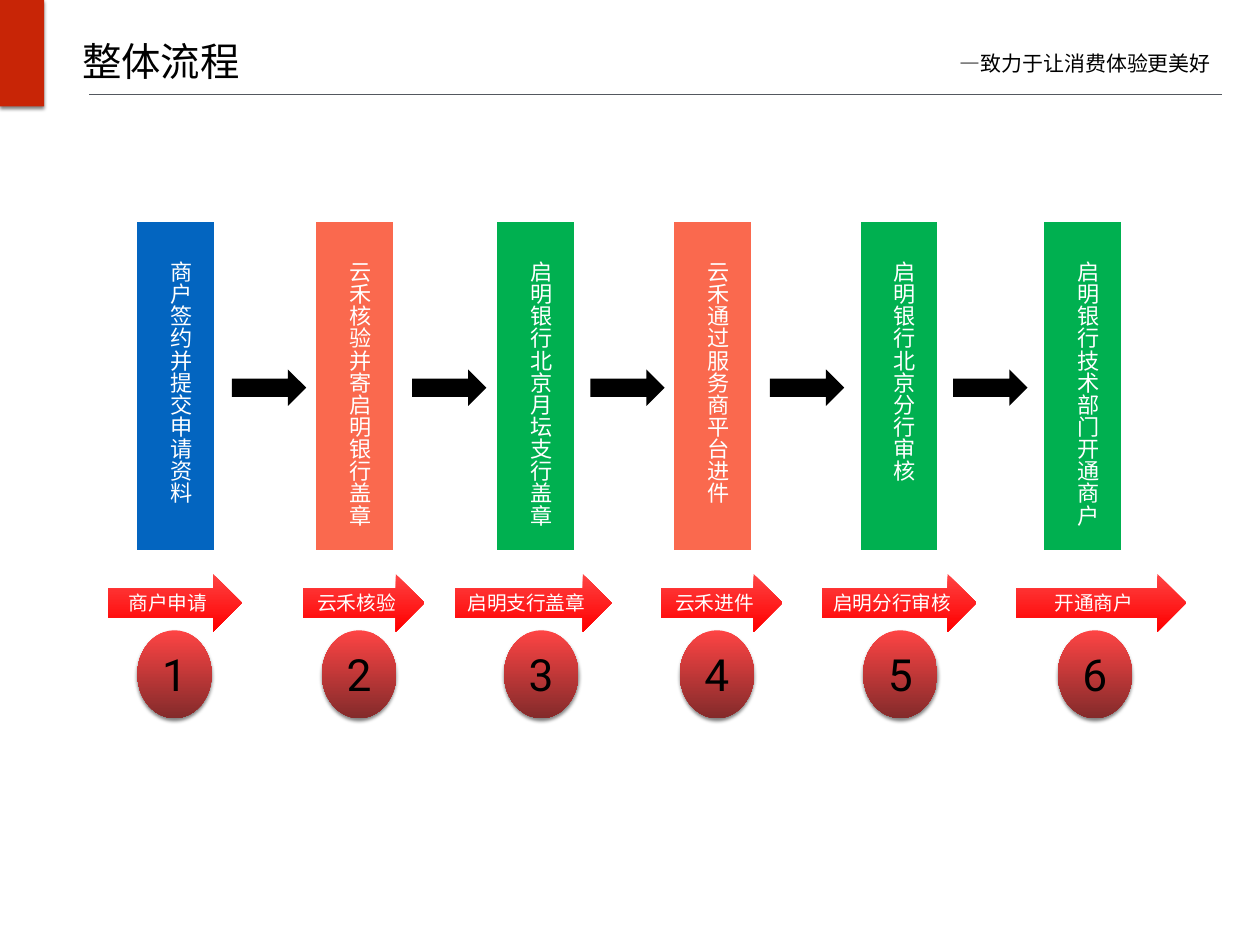
"""Build the slide showing the six-step merchant onboarding process."""
from lxml.etree import SubElement
from pptx import Presentation
from pptx.dml.color import RGBColor
from pptx.enum.shapes import MSO_CONNECTOR, MSO_SHAPE
from pptx.enum.text import MSO_ANCHOR, PP_ALIGN
from pptx.oxml.ns import qn
from pptx.util import Inches, Pt

BLACK = RGBColor(0x00, 0x00, 0x00)
WHITE = RGBColor(0xFF, 0xFF, 0xFF)
GRAY = RGBColor(0x53, 0x58, 0x5F)
CORNER_RED = RGBColor(0xC8, 0x25, 0x06)
LIGHT_RED = RGBColor(0xFE, 0x44, 0x44)
BRIGHT_RED = RGBColor(0xFF, 0x00, 0x00)
DARK_RED = RGBColor(0x83, 0x2B, 0x2B)
BLUE = RGBColor(0x03, 0x65, 0xC0)
ORANGE = RGBColor(0xFA, 0x69, 0x4E)
GREEN = RGBColor(0x00, 0xB0, 0x50)

TITLE = "整体流程"
SLOGAN = "—致力于让消费体验更美好"

# (task, bar colour, bar column, label, label column, label columns, badge column)
STEPS = [
    ("商户签约并提交申请资料", BLUE, 10.9, "商户申请", 8.6, 10.6, 10.9),
    ("云禾核验并寄启明银行盖章", ORANGE, 25.1, "云禾核验", 24.05, 9.65, 25.55),
    ("启明银行北京月坛支行盖章", GREEN, 39.45, "启明支行盖章", 36.15, 12.4, 40),
    ("云禾通过服务商平台进件", ORANGE, 53.5, "云禾进件", 52.45, 9.65, 53.95),
    ("启明银行北京分行审核", GREEN, 68.3, "启明分行审核", 65.25, 12.25, 68.5),
    ("启明银行技术部门开通商户", GREEN, 82.85, "开通商户", 80.65, 13.5, 83.95),
]
ARROW_COLUMNS = [18.4, 32.7, 46.85, 61.1, 75.65]

presentation = Presentation()
presentation.slide_width = Inches(14.22)
presentation.slide_height = Inches(10.67)
slide = presentation.slides.add_slide(presentation.slide_layouts[6])
COLUMN = presentation.slide_width / 100
ROW = presentation.slide_height / 100


def place(left, top, width, height):
    """Turn grid columns and rows into slide lengths."""
    return round(left * COLUMN), round(top * ROW), round(width * COLUMN), round(height * ROW)


def add_filled(parent, kind, box, fill, end=None, end_position=1.0):
    """Add a borderless shape, solid or with a downward gradient."""
    shape = parent.add_shape(kind, *place(*box))
    shape.shadow.inherit = False
    shape.line.fill.background()
    if end is None:
        shape.fill.solid()
        shape.fill.fore_color.rgb = fill
        return shape
    shape.fill.gradient()
    shape.fill.gradient_angle = 270
    stops = zip(shape.fill.gradient_stops, (fill, end), (0, end_position))
    for stop, color, position in stops:
        stop.color.rgb = color
        stop.position = position
    return shape


def add_shadow(shape):
    """Give a shape a soft shadow below it."""
    effects = shape.element.spPr.find(qn("a:effectLst"))
    shadow = SubElement(effects, qn("a:outerShdw"), blurRad=str(Pt(3)),
                        dist=str(Pt(2)), dir="5400000", rotWithShape="0")
    color = SubElement(shadow, qn("a:srgbClr"), val="000000")
    SubElement(color, qn("a:alpha"), val="50000")


def write(shape, text, size, color, font="Roboto", align=PP_ALIGN.CENTER,
          anchor=MSO_ANCHOR.MIDDLE, margin=None, wrap=False):
    """Set and format the text of a shape."""
    frame = shape.text_frame
    frame.text = text
    frame.word_wrap = wrap
    frame.vertical_anchor = anchor
    if margin is not None:
        frame.margin_left = frame.margin_right = margin
        frame.margin_top = frame.margin_bottom = margin
    paragraph = frame.paragraphs[0]
    paragraph.alignment = align
    run = paragraph.runs[0]
    run.font.size = Pt(size)
    run.font.name = font
    run.font.color.rgb = color


def add_header():
    """Add the corner block, title, slogan and rule."""
    title = slide.shapes.add_textbox(*place(6.1, 3.45, 19.35, 6))
    write(title, TITLE, 32, BLACK, align=PP_ALIGN.LEFT, margin=Inches(0.06), wrap=True)
    corner = add_filled(slide.shapes, MSO_SHAPE.RECTANGLE, (0, 0, 3.5, 11.25), CORNER_RED)
    add_shadow(corner)
    slogan = slide.shapes.add_textbox(*place(75.5, 4.6, 21.25, 4.1))
    write(slogan, SLOGAN, 17, BLACK, margin=Inches(0.06))
    left, top, width, _ = place(7.1, 9.95, 89.9, 0)
    rule = slide.shapes.add_connector(MSO_CONNECTOR.STRAIGHT, left, top, left + width, top)
    rule.line.color.rgb = GRAY
    rule.line.width = Pt(0.5)
    SubElement(rule.element.spPr, qn("a:effectLst"))


def add_step(number, task, color, bar_left, label, label_left, label_width, badge_left):
    """Add one step: task bar, label arrow and numbered badge."""
    group = slide.shapes.add_group_shape().shapes
    add_filled(group, MSO_SHAPE.FLOWCHART_PROCESS, (bar_left, 23.5, 6.1, 34.75), color)
    task_box = group.add_textbox(*place(bar_left + 1.25, 26.7, 3.6, 30.45))
    write(task_box, task, 18, WHITE, align=PP_ALIGN.LEFT, anchor=MSO_ANCHOR.TOP, wrap=True)
    task_box.element.txBody.bodyPr.set("vert", "eaVert")
    tag = add_filled(slide.shapes, MSO_SHAPE.RIGHT_ARROW,
                     (label_left, 60.75, label_width, 6.1), LIGHT_RED, BRIGHT_RED, 0.97)
    write(tag, label, 16, WHITE, "Arial")
    badge = add_filled(slide.shapes, MSO_SHAPE.OVAL,
                       (badge_left, 66.7, 5.9, 9.3), LIGHT_RED, DARK_RED)
    add_shadow(badge)
    write(badge, str(number), 36, BLACK, margin=Inches(0.06))


add_header()
for step_number, step in enumerate(STEPS, 1):
    add_step(step_number, *step)
for arrow_left in ARROW_COLUMNS:
    add_filled(slide.shapes, MSO_SHAPE.RIGHT_ARROW, (arrow_left, 39.1, 5.9, 3.85), BLACK)
presentation.save("out.pptx")
